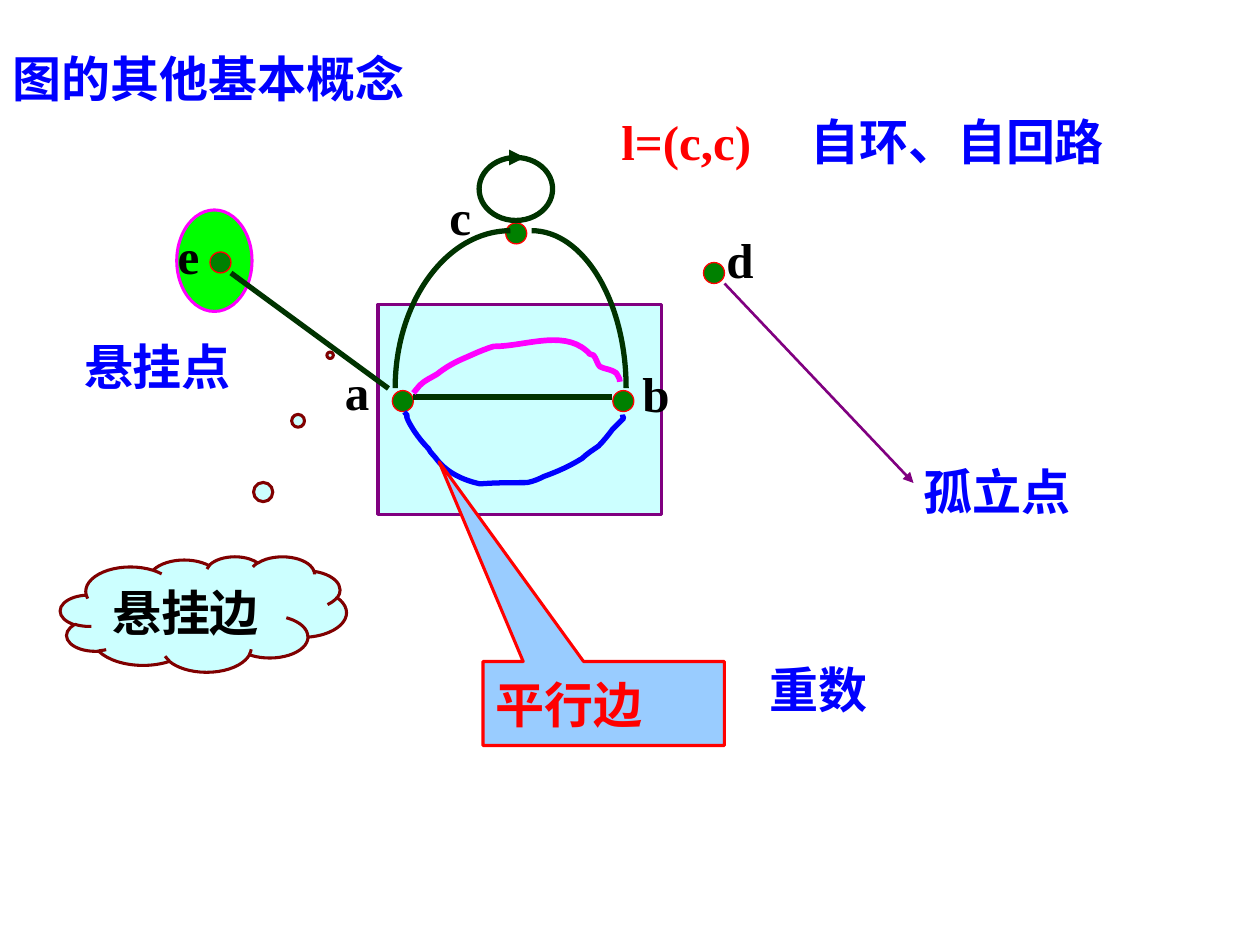
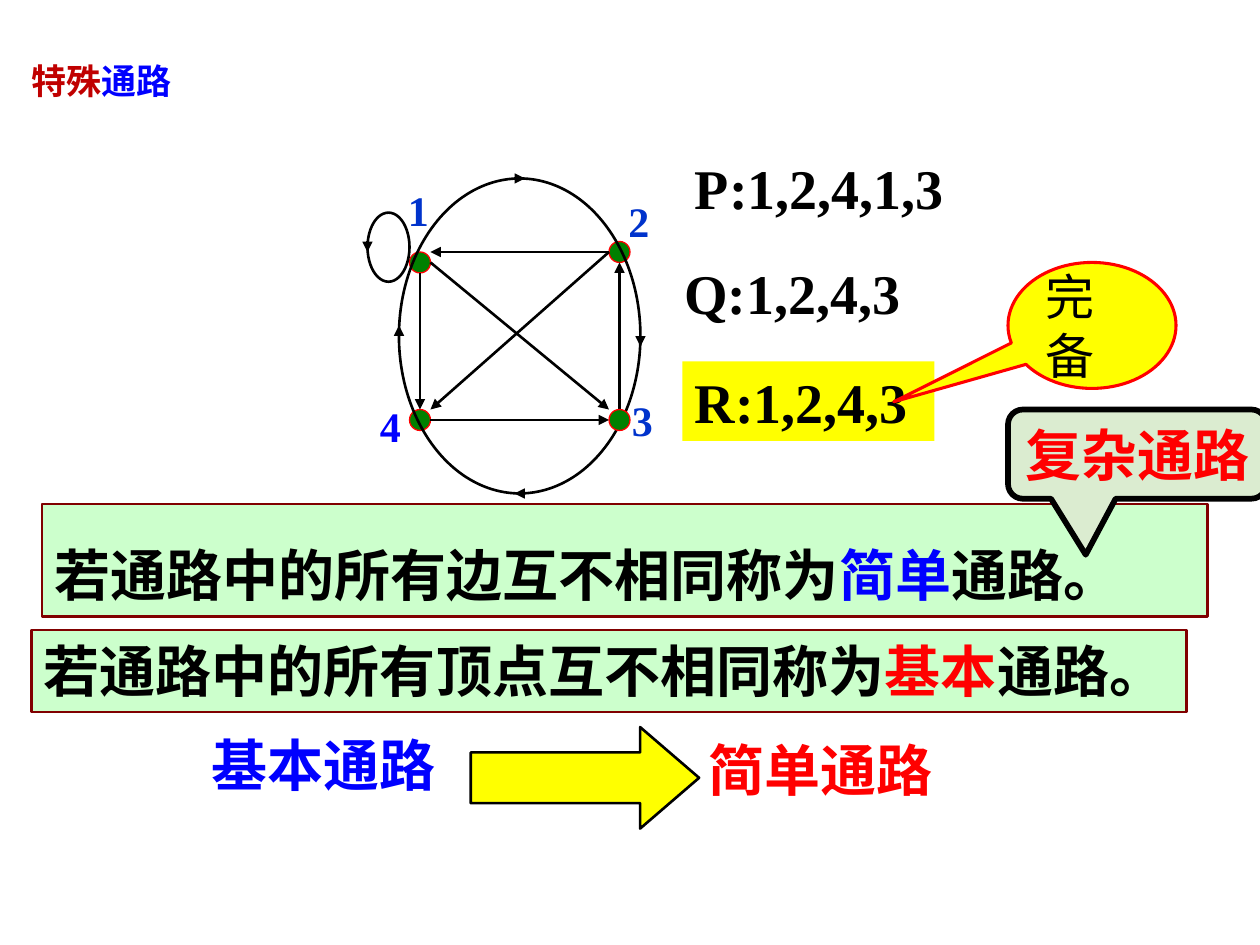
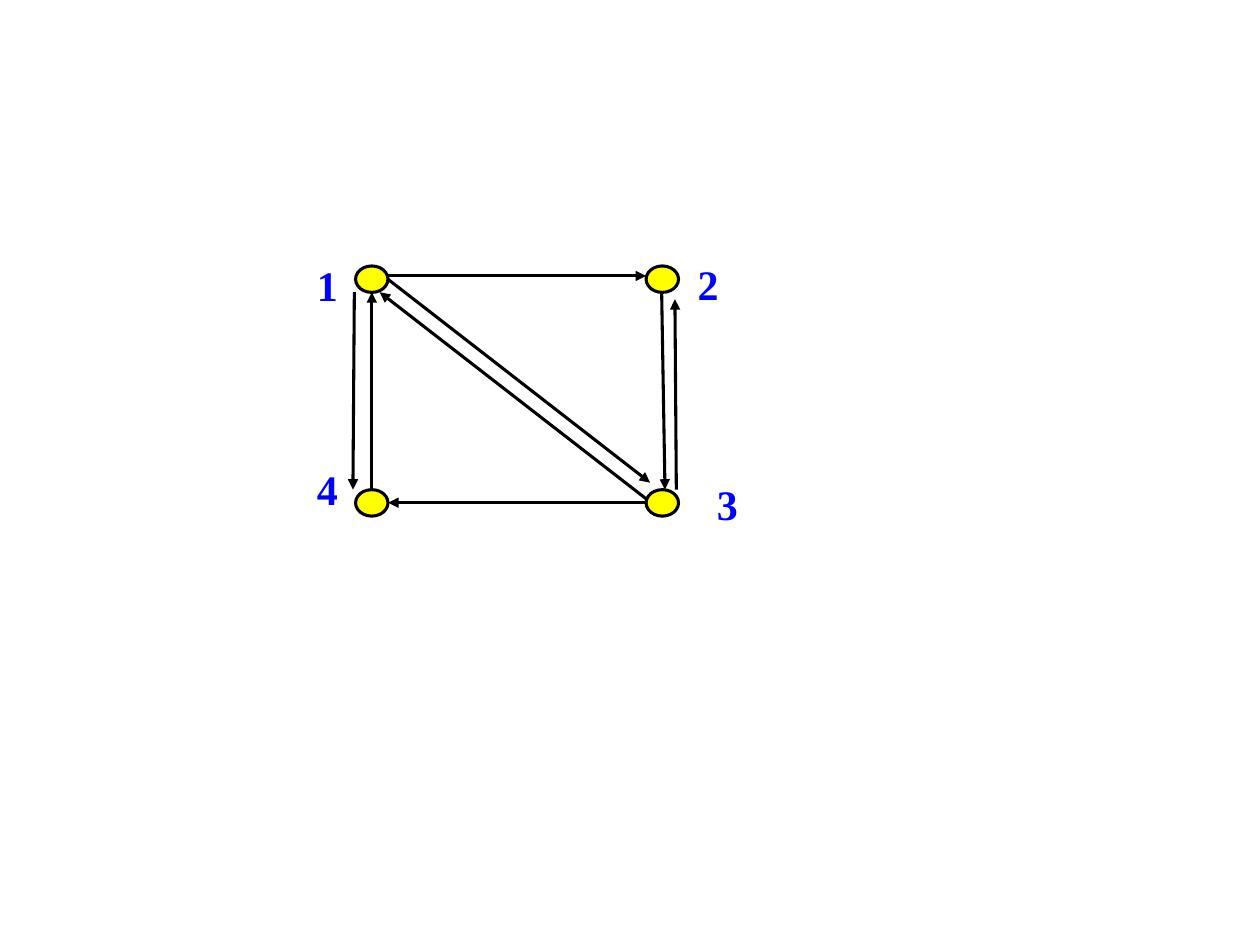
import pptx
import pptx.util
import pptx.dml.color
import pptx.enum.shapes
import pptx.enum.text
import pptx.oxml.ns
from lxml import etree

Pt = pptx.util.Pt
SHAPE = pptx.enum.shapes.MSO_SHAPE
ALIGN = pptx.enum.text.PP_ALIGN
ANCHOR = pptx.enum.text.MSO_ANCHOR
qn = pptx.oxml.ns.qn

COLORS = {
    "black": "000000", "blue": "0000FF", "royal": "0033CC", "red": "FF0000",
    "crimson": "C00000", "maroon": "800000", "purple": "800080",
    "magenta": "FF00FF", "lime": "00FF00", "green": "008000",
    "forest": "003300", "mint": "CCFFCC", "sage": "DBECD0",
    "aqua": "CCFFFF", "sky": "99CCFF", "yellow": "FFFF00",
}
LATIN = "Times New Roman"
CJK = "Noto Sans CJK SC"
TITLE_ONLY, BLANK = 5, 6


def rgb(color):
    """Return the RGB value of a named colour."""
    return pptx.dml.color.RGBColor.from_string(COLORS[color])


def write(frame, runs, size, font=LATIN, bold=True, align=ALIGN.LEFT,
          anchor=ANCHOR.TOP, wrap=True, spacing=None):
    """Write one paragraph made of (text, colour) runs."""
    frame.word_wrap = wrap
    frame.auto_size = pptx.enum.text.MSO_AUTO_SIZE.NONE
    frame.vertical_anchor = anchor
    paragraph = frame.paragraphs[0]
    paragraph.alignment = align
    if spacing:
        paragraph.line_spacing = spacing
    paragraph.font.size = Pt(size)
    paragraph.font.bold = bold
    if len(runs) == 1:
        paragraph.font.color.rgb = rgb(runs[0][1])
    paragraph.font.name = font
    defaults = paragraph._p.pPr.find(qn("a:defRPr"))
    etree.SubElement(defaults, qn("a:ea")).set("typeface", CJK)
    for words, color in runs:
        run = paragraph.add_run()
        run.text = words
        if len(runs) > 1:
            run.font.color.rgb = rgb(color)


def title(slide, runs, box, size, font=LATIN):
    """Place and fill the title placeholder."""
    heading = slide.shapes.title
    heading.left, heading.top, heading.width, heading.height = map(Pt, box)
    write(heading.text_frame, runs, size, font)


def label(slide, words, box, size, color, font=LATIN):
    """Add a text box with one line of text."""
    write(slide.shapes.add_textbox(*map(Pt, box)).text_frame,
          [(words, color)], size, font)


def paint(figure, fill, line, width):
    """Set fill and outline and drop the shadow."""
    figure.shadow.inherit = False
    if fill:
        figure.fill.solid()
        figure.fill.fore_color.rgb = rgb(fill)
    else:
        figure.fill.background()
    if line:
        figure.line.color.rgb = rgb(line)
        figure.line.width = Pt(width)
    else:
        figure.line.fill.background()


def shape(slide, kind, box, fill=None, line=None, width=1.5, adjust=()):
    """Add a preset shape and return it."""
    figure = slide.shapes.add_shape(kind, *map(Pt, box))
    for index, value in enumerate(adjust):
        figure.adjustments[index] = value
    paint(figure, fill, line, width)
    return figure


def vertex(slide, left, top):
    """Add a small green graph vertex."""
    shape(slide, SHAPE.OVAL, (left, top, 12, 12), "green", "red", 0.75)


def edge(slide, ends, color="black", width=1.5, arrow=True):
    """Add a straight edge from (x1, y1) to (x2, y2)."""
    connector = slide.shapes.add_connector(
        pptx.enum.shapes.MSO_CONNECTOR.STRAIGHT, *map(Pt, ends))
    connector.line.color.rgb = rgb(color)
    connector.line.width = Pt(width)
    if arrow:
        outline = connector.line._get_or_add_ln()
        etree.SubElement(outline, qn("a:tailEnd")).set("type", "triangle")
    etree.SubElement(connector._element.spPr, qn("a:effectLst"))


def curve(slide, start, beziers, color, width=3):
    """Draw a chain of cubic Bezier segments as an open outline."""
    controls = [(Pt(x), Pt(y)) for bezier in beziers
                for x, y in zip(bezier[::2], bezier[1::2])]
    builder = slide.shapes.build_freeform(*map(Pt, start))
    builder.add_line_segments(controls, close=False)
    figure = builder.convert_to_shape()
    outline = next(figure._element.iter(qn("a:path")))
    segments = outline.findall(qn("a:lnTo"))
    for first in range(0, len(segments), 3):
        bezier = etree.SubElement(outline, qn("a:cubicBezTo"))
        for segment in segments[first:first + 3]:
            bezier.append(segment[0])
            outline.remove(segment)
    paint(figure, None, color, width)


def concepts_slide(deck):
    """Build the slide on basic graph concepts."""
    slide = deck.slides.add_slide(deck.slide_layouts[TITLE_ONLY])
    title(slide, [("图的其他基本概念", "blue")], (0, 24, 276.5, 41), 28)
    shape(slide, SHAPE.RECTANGLE, (216, 174, 162, 120), "aqua", "purple", 1.75)
    shape(slide, SHAPE.OVAL, (101, 120, 43, 58), "lime", "magenta", 1.75)

    for left, top in ((350.2, 223.2), (224.2, 223.2), (289, 127.4),
                      (402, 150), (120, 144)):
        vertex(slide, left, top)
    for name, left, top in (("a", 190, 203), ("b", 360, 204), ("c", 249.8, 103),
                            ("d", 408, 127.5), ("e", 94.5, 125.5)):
        label(slide, name, (left, top, 30, 41), 28, "black")

    shape(slide, SHAPE.OVAL, (273.8, 90, 42, 36), None, "forest", 3)
    edge(slide, (294, 90, 300, 90), "forest", 3)
    for ends in ((236, 226.8, 350, 226.8), (132, 156, 222, 222)):
        edge(slide, ends, "forest", 3, arrow=False)
    edge(slide, (414, 162, 522, 276), "purple")
    curve(slide, (303.8, 131.8), [(333.4, 131.8, 357.8, 172.1, 357.8, 221.8)], "forest")
    curve(slide, (291.6, 131.8), [(255.6, 131.8, 225.8, 172.1, 225.8, 221.8)], "forest")

    for words, color, box in (
            ("l=(c,c)", "red", (348, 60, 90, 41)),
            ("自环、自回路", "blue", (456, 60, 186, 41)),
            ("孤立点", "blue", (520.5, 260, 163, 41)),
            ("悬挂点", "blue", (41, 189, 100, 41)),
            ("重数", "blue", (432.8, 373.2, 119, 41))):
        label(slide, words, box, 28, color)

    hanging_edge = shape(slide, SHAPE.CLOUD_CALLOUT, (34.5, 318, 163.5, 66),
                         "aqua", "maroon", 1.75, (0.443, -2.242))
    write(hanging_edge.text_frame, [("悬挂边", "black")], 28, anchor=ANCHOR.MIDDLE)
    curve(slide, (231, 235.4), [
        (235.4, 240.5, 230.4, 234, 233.3, 240.5),
        (236.2, 246.2, 240.5, 252, 244.8, 256.3),
        (246.2, 259.2, 248.4, 260.6, 249.8, 262.8),
        (255.6, 270, 264.2, 274.3, 274.3, 276.5),
        (283, 275.8, 292.3, 275.8, 301, 275.8),
        (305.3, 275, 308.2, 273.6, 311, 272.2),
        (319, 269.3, 325.4, 266.4, 332.6, 262),
        (335.5, 259.2, 339, 257, 342, 254.9),
        (344.9, 252, 347.8, 248.4, 349.9, 245.5),
        (352, 243.4, 356.4, 239, 356.4, 239),
        (355.7, 238.3, 355.7, 236.9, 355.7, 236.9)], "blue")
    curve(slide, (236.2, 224.6), [
        (237.6, 223.2, 238.3, 221.8, 239.8, 220.3),
        (242.6, 217.4, 246.2, 216, 249.8, 213.8),
        (254.2, 210.2, 259.2, 207.4, 264.2, 205.2),
        (269.3, 203, 273.6, 200.9, 277.9, 199.4),
        (279.4, 198.7, 282.2, 198, 282.2, 198),
        (299.5, 198, 321.1, 188.6, 334.8, 200.2),
        (338.4, 203, 334.8, 201.6, 339.1, 203),
        (340.6, 204.5, 341.3, 208.1, 342.7, 209.5),
        (345.6, 211, 349.2, 211, 352.1, 213.1),
        (352.8, 214.6, 354.2, 216, 354.2, 218.2)], "magenta", 3.25)
    parallel_edges = shape(slide, SHAPE.RECTANGULAR_CALLOUT, (276, 378, 138, 48),
                           "sky", "red", 1.75, (-0.682, -2.878))
    write(parallel_edges.text_frame, [("平行边", "red")], 28, anchor=ANCHOR.MIDDLE)


def paths_slide(deck):
    """Build the slide on special paths."""
    slide = deck.slides.add_slide(deck.slide_layouts[TITLE_ONLY])
    title(slide, [("特殊", "crimson"), ("通路", "blue")], (10.8, 30.2, 253.5, 31), 20, CJK)

    for box, elements, kind, color, spacing in (
            ((24, 288, 666, 64.2), "边", "简单", "blue", 1.45),
            ((18, 360, 660, 47), "顶点", "基本", "red", None)):
        definition = shape(slide, SHAPE.RECTANGLE, box, "mint", "maroon")
        write(definition.text_frame,
              [(f"若通路中的所有{elements}互不相同称为", "black"),
               (kind, color), ("通路。", "black")], 32, CJK, spacing=spacing)

    for name, left, top, color in (
            ("1", 226, 102, "royal"), ("2", 352, 108, "royal"),
            ("3", 354, 222, "royal"), ("4", 210, 225.5, "blue")):
        label(slide, name, (left, top, 26, 36), 24, color)
    for left, top in ((348, 138), (234, 234), (234, 144)):
        vertex(slide, left, top)

    for ends in ((348, 144, 246, 234), (246, 150, 348, 234),
                 (348, 144, 246, 144), (240, 156, 240, 234),
                 (246, 240, 348, 240), (354, 234, 354, 150),
                 (210, 138, 210, 144), (294, 102, 300, 102),
                 (366, 192, 366, 198), (300, 282, 294, 282),
                 (228, 198, 228, 186)):
        edge(slide, ends)
    for loop in ((210, 121.5, 24, 39.5), (228, 102, 138, 180)):
        shape(slide, SHAPE.OVAL, loop, None, "black")
    vertex(slide, 348, 234)

    label(slide, "P:1,2,4,1,3", (390, 84, 265, 46), 32, "black")
    label(slide, "Q:1,2,4,3", (384, 144, 265, 46), 32, "black")
    label(slide, "基本通路", (114, 414, 153, 46), 32, "blue", CJK)
    shape(slide, SHAPE.RIGHT_ARROW, (269, 415.5, 130.5, 58), "yellow", "black",
          adjust=(0.5, 0.581))
    label(slide, "简单通路", (398, 417, 226, 46), 32, "red", CJK)

    complex_path = shape(slide, SHAPE.ROUNDED_RECTANGULAR_CALLOUT,
                         (576, 234, 147.6, 51), "sage", "black", 3.25,
                         (-0.199, 1.128, 0.167))
    write(complex_path.text_frame, [("复杂通路", "red")], 32, CJK,
          align=ALIGN.CENTER, anchor=ANCHOR.MIDDLE, wrap=False)
    path_r = shape(slide, SHAPE.RECTANGLE, (390, 206.5, 144, 45.5), "yellow")
    write(path_r.text_frame, [("R:1,2,4,3", "black")], 32)
    complete = shape(slide, SHAPE.OVAL_CALLOUT, (576, 150, 96, 72),
                     "yellow", "red", 1.75, (-1.18, 0.606))
    write(complete.text_frame, [("完备", "black")], 28, "Calibri", bold=False,
          anchor=ANCHOR.MIDDLE)


def digraph_slide(deck):
    """Build the slide with a four-vertex directed graph."""
    slide = deck.slides.add_slide(deck.slide_layouts[BLANK])
    for top in (152, 279.8):
        for left in (203.2, 369.2):
            shape(slide, SHAPE.OVAL, (left, top, 18.5, 15.1), "yellow", "black", 1.75)
    for ends in ((221.8, 157.7, 369.2, 157.7), (212.5, 279.8, 212.5, 167),
                 (369.2, 287.3, 221.8, 287.3), (369.2, 285, 217, 167),
                 (202.5, 167, 201.7, 279.8), (378.1, 167, 380, 279.8),
                 (386.5, 279.8, 385.7, 171), (222, 159.8, 371.5, 275.8)):
        edge(slide, ends, width=1.75)
    for name, left, top in (("1", 174, 145), ("2", 391.5, 144),
                            ("3", 402.5, 270), ("4", 174, 261.5)):
        label(slide, name, (left, top, 40, 45), 24, "blue")


def main():
    """Build the three slides and save the deck."""
    deck = pptx.Presentation()
    deck.slide_width, deck.slide_height = Pt(720), Pt(540)
    concepts_slide(deck)
    paths_slide(deck)
    digraph_slide(deck)
    deck.save("out.pptx")


if __name__ == "__main__":
    main()
